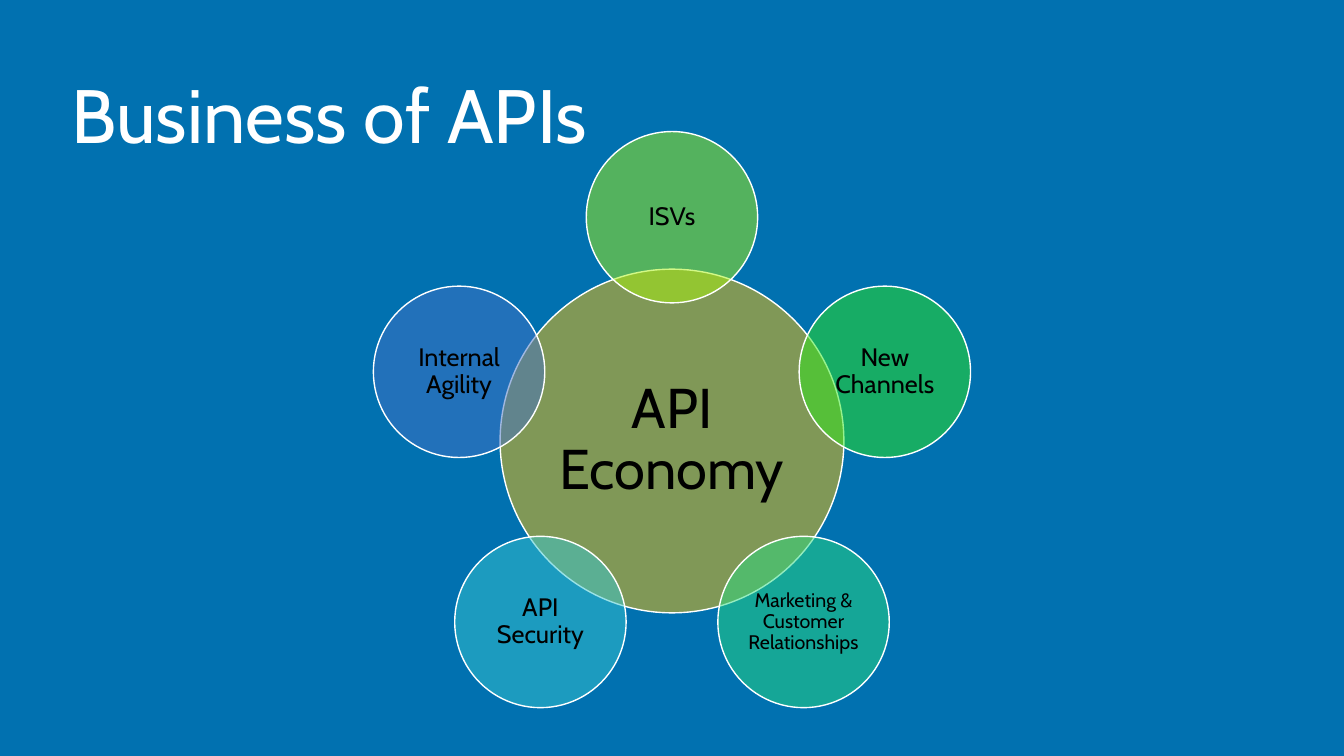
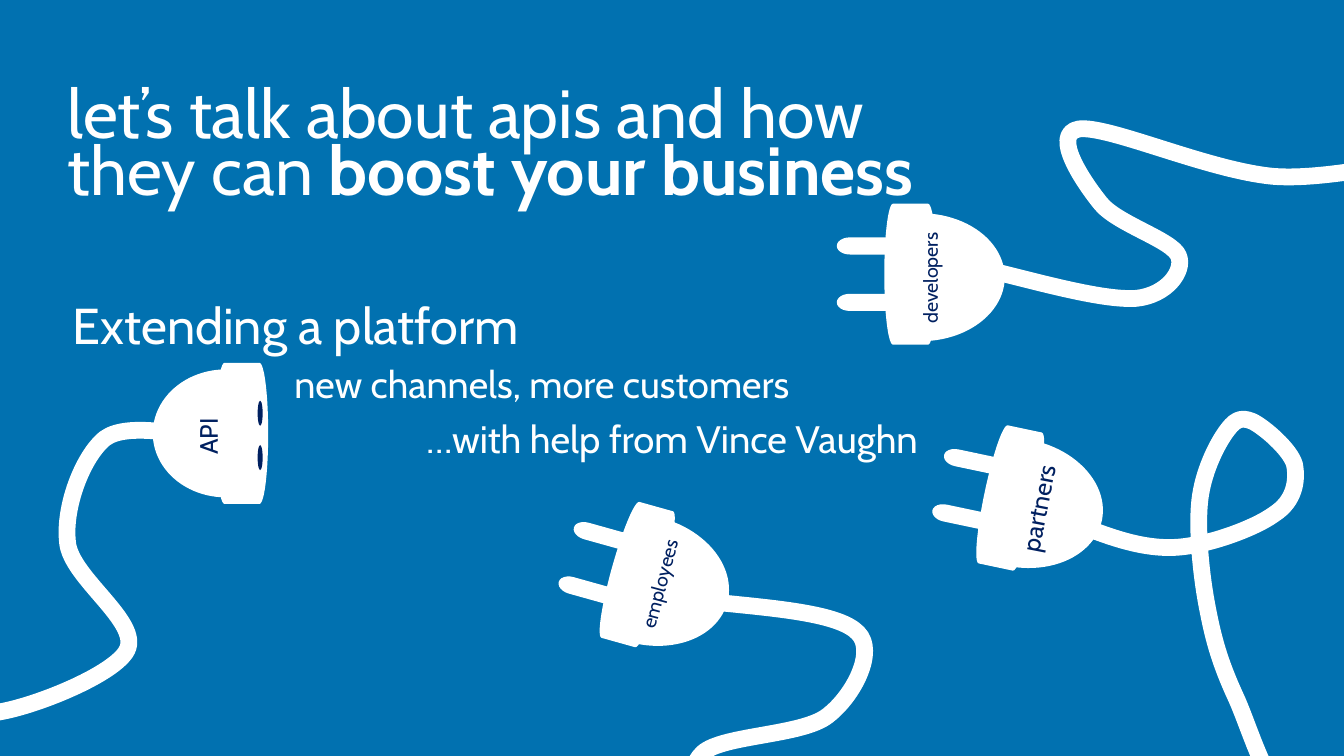
from math import cos, radians, sin

from lxml.etree import SubElement
from pptx import Presentation
from pptx.dml.color import RGBColor
from pptx.enum.shapes import MSO_SHAPE
from pptx.enum.text import MSO_ANCHOR, MSO_AUTO_SIZE, PP_ALIGN
from pptx.oxml.ns import qn
from pptx.util import Inches, Pt

COLORS = {
    "background": "0171B0",
    "white": "FFFFFF",
    "black": "000000",
    "navy": "002060",
    "hub": "FFC000",
    "lime": "A7F30E",
    "green": "2EE71C",
    "mint": "29DB80",
    "aqua": "37C6CF",
    "blue": "4472C4",
}
RGB = {name: RGBColor.from_string(value) for name, value in COLORS.items()}
FONT = "Cabin"
HEADING = {"anchor": MSO_ANCHOR.MIDDLE, "align": PP_ALIGN.LEFT, "color": "white"}
CIRCLE_TEXT = {"anchor": MSO_ANCHOR.MIDDLE, "align": PP_ALIGN.CENTER, "color": "black"}
PLUG_LABEL = {"anchor": MSO_ANCHOR.TOP, "align": PP_ALIGN.CENTER, "color": "navy",
              "insets": (0.2, 0.16), "fit": MSO_AUTO_SIZE.SHAPE_TO_FIT_TEXT}


def write(shape, text, size, anchor, align, color, insets=(0.1, 0.05),
          spacing=0.9, bold_end="", fit=MSO_AUTO_SIZE.NONE):
    frame = shape.text_frame
    across, down = map(Inches, insets)
    frame_format = {
        "word_wrap": True, "auto_size": fit, "vertical_anchor": anchor,
        "margin_left": across, "margin_right": across,
        "margin_top": down, "margin_bottom": down,
    }
    for name, value in frame_format.items():
        setattr(frame, name, value)
    paragraph = frame.paragraphs[0]
    paragraph.alignment = align
    paragraph.line_spacing = spacing
    for part, bold in ((text, False), (bold_end, True)):
        if part:
            run = paragraph.add_run()
            run.text = part
            for name, value in {"name": FONT, "size": Pt(size), "bold": bold}.items():
                setattr(run.font, name, value)
            run.font.color.rgb = RGB[color]


def draw(slide, preset, center, size, color="white", tilt=0):
    """Add an unlined preset shape around its center, in inches."""
    (x, y), (width, height) = center, size
    shape = slide.shapes.add_shape(
        preset, Inches(x - width / 2), Inches(y - height / 2), Inches(width), Inches(height))
    shape.rotation = tilt
    shape.shadow.inherit = False
    shape.fill.solid()
    shape.fill.fore_color.rgb = RGB[color]
    shape.line.fill.background()
    return shape


prs = Presentation()
prs.slide_width, prs.slide_height = Inches(13.33), Inches(7.5)
master_fill = prs.slide_master.background.fill
master_fill.solid()
master_fill.fore_color.rgb = RGB["background"]

titles = [
    ("Business of APIs", 54, (0.61, 0.46, 12.12, 1.45)),
    ("Extending a platform", 36, (0.62, 2.76, 5.26, 1)),
]
slides = []
for text, size, box in titles:
    slide = prs.slides.add_slide(prs.slide_layouts[5])
    title = slide.shapes.title
    title.left, title.top, title.width, title.height = map(Inches, box)
    write(title, text, size, **HEADING)
    slides.append(slide)
economy, plugs = slides

# API economy: a hub with five topics spaced evenly around it
HUB_SIZE, TOPIC_SIZE, ORBIT = 3.41, 1.7, 2.22
HUB_X, HUB_Y = 4.96 + HUB_SIZE / 2, 2.67 + HUB_SIZE / 2
topics = [
    ("ISVs", "lime", 18),
    ("New Channels", "green", 18),
    ("Marketing & Customer Relationships", "mint", 14),
    ("API Security", "aqua", 18),
    ("Internal Agility", "blue", 18),
]
circles = [("API Economy", "hub", 40, (HUB_X, HUB_Y), HUB_SIZE, 0.06)]
for index, (topic, color, size) in enumerate(topics):
    angle = radians(index * 360 / len(topics))
    center = (HUB_X + ORBIT * sin(angle), HUB_Y - ORBIT * cos(angle))
    circles.append((topic, color, size, center, TOPIC_SIZE, 0.02))

for text, color, size, center, diameter, inset in circles:
    circle = draw(economy, MSO_SHAPE.OVAL, center, (diameter, diameter), color)
    fill_color = circle.element.spPr.find(qn("a:solidFill"))[0]
    SubElement(fill_color, qn("a:alpha"), val="50000")
    circle.line.color.rgb = RGB["white"]
    circle.line.width = Pt(1)
    write(circle, text, size, insets=(inset, inset), **CIRCLE_TEXT)

# Cords: a start point, then two control points and an end point per curve
cords = [
    [(2.08, 4.31),
     (2.14, 4.32), (2.19, 4.32), (2.02, 4.33),
     (1.84, 4.33), (1.27, 4.18), (1.04, 4.35),
     (0.82, 4.53), (0.63, 5.03), (0.67, 5.38),
     (0.7, 5.73), (1.4, 6.17), (1.26, 6.45),
     (1.12, 6.73), (0.04, 7.13), (-0.19, 7.07)],
    [(9.85, 2.69),
     (10.41, 2.83), (10.96, 2.98), (11.27, 2.96),
     (11.57, 2.93), (11.75, 2.69), (11.69, 2.54),
     (11.63, 2.38), (11.07, 2.22), (10.91, 2.01),
     (10.75, 1.81), (10.42, 1.33), (10.7, 1.28),
     (10.99, 1.24), (11.98, 1.69), (12.63, 1.75),
     (13.27, 1.8), (14.26, 1.49), (14.58, 1.61)],
    [(7.14, 5.98),
     (7.73, 6.04), (8.33, 6.09), (8.51, 6.28),
     (8.69, 6.46), (8.47, 6.9), (8.21, 7.1),
     (7.96, 7.3), (7.17, 7.29), (6.97, 7.47),
     (6.77, 7.66), (6.81, 8.1), (7, 8.22)],
    [(10.73, 5.22),
     (11.04, 5.34), (11.35, 5.45), (11.67, 5.43),
     (11.99, 5.41), (12.45, 5.24), (12.64, 5.1),
     (12.84, 4.97), (12.87, 4.77), (12.84, 4.61),
     (12.8, 4.46), (12.53, 4.23), (12.42, 4.18),
     (12.3, 4.13), (12.24, 4.17), (12.15, 4.3),
     (12.06, 4.43), (11.93, 4.69), (11.9, 4.97),
     (11.87, 5.25), (11.91, 5.68), (11.97, 6),
     (12.03, 6.32), (12.09, 6.55), (12.25, 6.9),
     (12.41, 7.24), (12.57, 7.91), (12.93, 8.09),
     (13.28, 8.27), (13.83, 8.12), (14.37, 7.97)],
]
for start, *bends in cords:
    builder = plugs.shapes.build_freeform(*map(Inches, start))
    builder.add_line_segments([tuple(map(Inches, bend)) for bend in bends], close=False)
    cord = builder.convert_to_shape()
    cord.shadow.inherit = False
    cord.fill.background()
    cord.line.color.rgb = RGB["white"]
    cord.line.width = Pt(12)
    # Every three straight segments become one cubic curve
    outline = cord.element.find(".//" + qn("a:path"))
    segments = outline.findall(qn("a:lnTo"))
    for first in range(0, len(segments), 3):
        curve = SubElement(outline, qn("a:cubicBezTo"))
        for segment in segments[first:first + 3]:
            curve.append(segment[0])
            outline.remove(segment)

# Socket and plugs: parts are placed by their offset from the collar
DRUM, PIE = MSO_SHAPE.FLOWCHART_DIRECT_ACCESS_STORAGE, MSO_SHAPE.PIE
PRONG, HOLE = MSO_SHAPE.FLOWCHART_TERMINATOR, MSO_SHAPE.OVAL
socket_parts = [
    (DRUM, (0, 0), (0.52, 1.4), "white", 0),
    (PIE, (-0.16, 0), (1.45, 1.27), "white", 0),
    (HOLE, (0.18, -0.2), (0.05, 0.25), "navy", 0),
    (HOLE, (0.18, 0.24), (0.05, 0.25), "navy", 0),
]
plug_parts = [
    (DRUM, (0, 0), (0.52, 1.4), "white", 180),
    (PIE, (0.1, 0.03), (1.67, 1.27), "white", 180),
    (PRONG, (-0.33, -0.28), (0.8, 0.17), "white", 0),
    (PRONG, (-0.33, 0.28), (0.8, 0.17), "white", 0),
]
# label, size, label center, label rotation, collar center, tilt, parts
devices = [
    ("API", 18, (2.11, 4.33), 270, (2.4, 4.3), 0, socket_parts),
    ("developers", 14, (9.3, 2.76), 270, (9.03, 2.72), 0, plug_parts),
    ("employees", 14, (6.61, 5.81), 285, (6.32, 5.7), 15.6, plug_parts),
    ("partners", 18, (10.34, 5.05), 281, (10.02, 4.94), 11.9, plug_parts),
]
for label, size, (label_x, label_y), label_turn, (x, y), tilt, parts in devices:
    turn = radians(tilt)
    for preset, (dx, dy), part_size, color, flip in parts:
        center = (x + dx * cos(turn) - dy * sin(turn), y + dx * sin(turn) + dy * cos(turn))
        part = draw(plugs, preset, center, part_size, color, tilt + flip)
        if preset == PIE:
            part.adjustments[0], part.adjustments[1] = 53.2, 162
    height = 0.6 if size == 18 else 0.54
    caption = plugs.shapes.add_textbox(
        Inches(label_x - 0.9), Inches(label_y - height / 2), Inches(1.8), Inches(height))
    caption.rotation = label_turn
    write(caption, label, size, **PLUG_LABEL)

messages = [
    ("let’s talk about apis and how they can ", 48.6, (0.57, 0.49, 8.99, 2),
     {"spacing": 0.7, "bold_end": "boost your business"}),
    ("new channels, more customers", 27, (2.82, 3.58, 5.88, 0.81),
     {"anchor": MSO_ANCHOR.TOP}),
    ("…with help from Vince Vaughn", 27.3, (4.13, 3.95, 5.52, 0.86), {}),
]
for text, size, box, changes in messages:
    message = plugs.shapes.add_textbox(*map(Inches, box))
    write(message, text, size, **{**HEADING, **changes})

prs.save("out.pptx")
